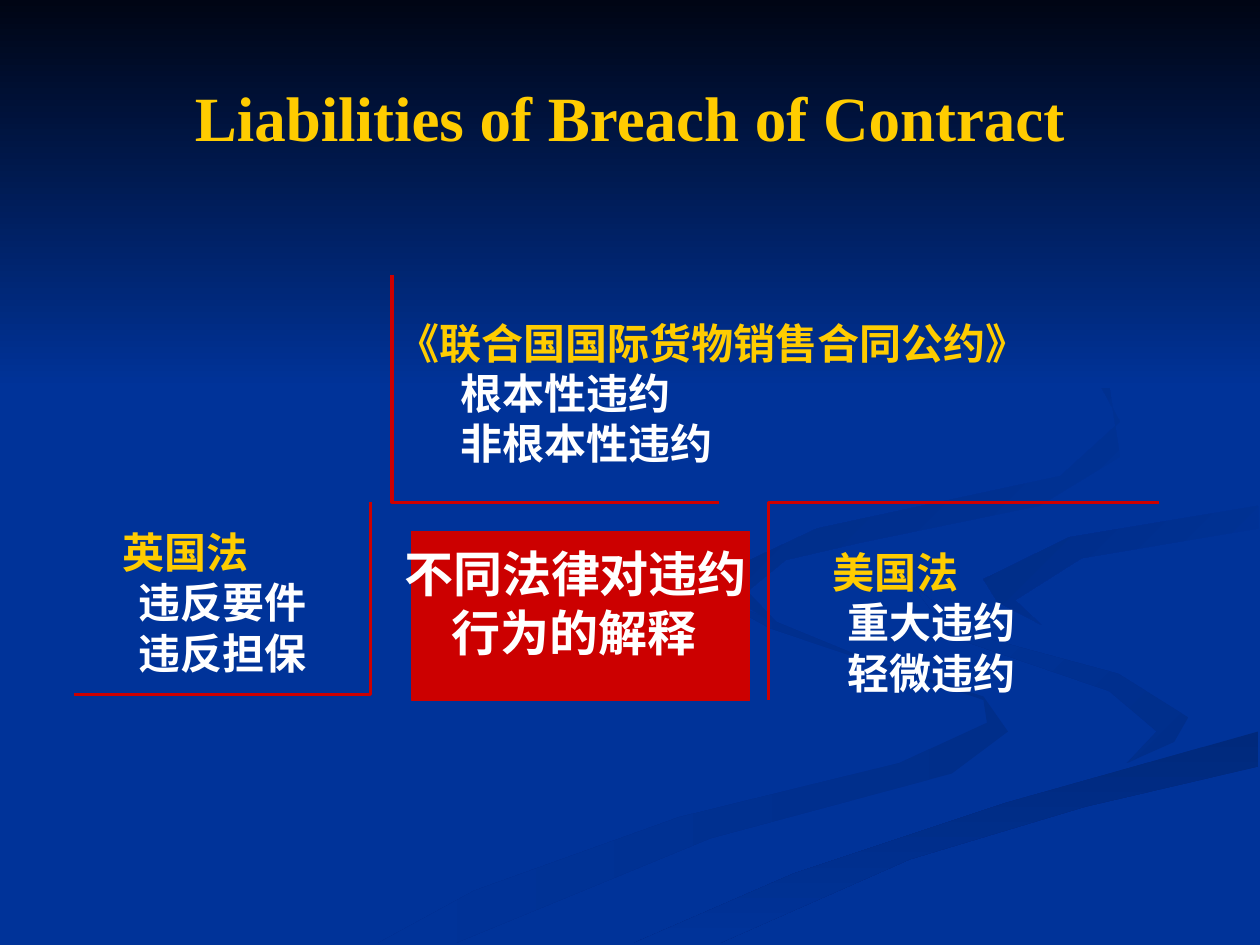
from lxml import etree
from pptx import Presentation
from pptx.dml.color import RGBColor
from pptx.enum.shapes import MSO_SHAPE
from pptx.enum.text import MSO_ANCHOR, PP_ALIGN
from pptx.oxml.ns import qn
from pptx.util import Pt

RECT = MSO_SHAPE.RECTANGLE
TOP, MIDDLE = MSO_ANCHOR.TOP, MSO_ANCHOR.MIDDLE
LEFT, CENTER = PP_ALIGN.LEFT, PP_ALIGN.CENTER

COLORS = {"blue": "003399", "night": "000514", "navy": "002E8A",
          "deep": "00297C", "dusk": "002C85", "dark": "002B81",
          "gold": "FFCC00", "white": "FFFFFF", "red": "CC0000"}
SERIF, SANS, CJK = "Times New Roman", "Arial", "Noto Sans CJK SC"

RIBBONS = [
    ("navy", "blue", 180, [
        (562, 398), (489, 374), (428, 349), (413, 332), (411, 343), (440, 359),
        (562, 400), (564, 413), (514, 436), (388, 467), (271, 509), (216, 539),
        (260, 539), (406, 479), (544, 442), (576, 418)]),
    ("navy", "blue", 225, [
        (679, 410), (639, 385), (557, 363), (521, 334), (544, 364), (634, 395),
        (661, 418), (644, 436), (671, 424)]),
    ("deep", "blue", 90, [
        (362, 539), (411, 539), (520, 491), (620, 461), (719, 438), (719, 418),
        (574, 459), (454, 499)]),
    ("blue", "dusk", 225, [
        (562, 331), (570, 344), (595, 357), (580, 343), (618, 319), (719, 302),
        (719, 289), (611, 307)]),
    ("blue", "dark", 225, [
        (492, 310), (594, 289), (640, 261), (634, 221), (549, 168), (626, 215),
        (640, 241), (606, 272), (467, 302), (418, 325), (418, 341), (448, 360),
        (427, 338), (449, 320)]),
]
SHELF = 287.3
BRACKETS = [
    [(223.9, 157), (223.9, SHELF), (411.1, SHELF)],
    [(439.2, 400.3), (439.2, SHELF), (661.7, SHELF)],
    [(42.5, 396.7), (212.4, 396.7), (212.4, SHELF)],
]
LAWS = [
    ((184.3, 175.2, 414, 137.5), SANS, 36,
     ["《联合国国际货物销售合同公约》", "根本性违约", "非根本性违约"]),
    ((405.4, 306.2, 215.3, 93.6), CJK, 63, ["美国法", "重大违约", "轻微违约"]),
    ((0, 294.7, 198.7, 137.5), CJK, 63, ["英国法", "违反要件", "违反担保"]),
]


def rgb(name):
    return RGBColor.from_string(COLORS[name])


def fill_gradient(s, start, end, angle):
    s.fill.gradient()
    s.fill.gradient_angle = 360 - angle
    for stop, name in zip(s.fill.gradient_stops, (start, end)):
        stop.color.rgb = rgb(name)


def add_path(slide, points, close):
    builder = slide.shapes.build_freeform(*points[0], scale=Pt(1))
    builder.add_line_segments(points[1:], close=close)
    s = builder.convert_to_shape()
    s.shadow.inherit = False
    return s


def add_backdrop(slide, box):
    slide.background.fill.solid()
    slide.background.fill.fore_color.rgb = rgb("blue")
    for start, end, angle, points in RIBBONS:
        s = add_path(slide, points, True)
        s.line.fill.background()
        fill_gradient(s, start, end, angle)
    band = slide.shapes.add_shape(RECT, *map(Pt, box))
    band.shadow.inherit = False
    band.line.fill.background()
    fill_gradient(band, "night", "blue", 90)


def add_bracket(slide, points):
    s = add_path(slide, points, False)
    s.fill.background()
    s.line.color.rgb = rgb("red")
    s.line.width = Pt(1.75)


def add_frame(slide, box, anchor, top=3.6):
    tf = slide.shapes.add_textbox(*map(Pt, box)).text_frame
    tf.word_wrap = True
    tf.vertical_anchor = anchor
    tf.margin_top = Pt(top)
    return tf


def add_text(p, text, size, font, color, align=LEFT, margin=0, indent=0, spacing=None):
    p.alignment = align
    pPr = p._p.get_or_add_pPr()
    pPr.set("marL", str(Pt(margin)))
    pPr.set("indent", str(Pt(indent)))
    if spacing:
        p.line_spacing = Pt(spacing)
    r = p.add_run()
    r.text = text
    r.font.size, r.font.name, r.font.bold = Pt(size), font, True
    r.font.color.rgb = rgb(color)
    ea = etree.SubElement(r._r.get_or_add_rPr(), qn("a:ea"))
    ea.set("typeface", CJK)


def add_title(slide, box):
    tf = add_frame(slide, box, MIDDLE)
    add_text(tf.paragraphs[0], "Liabilities of Breach of Contract", 36, SERIF, "gold", CENTER)


def add_law(slide, box, font, margin, lines):
    tf = add_frame(slide, box, TOP, 6)
    for i, line in enumerate(lines):
        p = tf.add_paragraph() if i else tf.paragraphs[0]
        add_text(p, line, 24, font, "white" if i else "gold",
                 margin=72 if i else margin, spacing=28.8)


def add_topic(slide, box):
    x, y, w, h = box
    s = slide.shapes.add_shape(RECT, *map(Pt, box))
    s.shadow.inherit = False
    s.fill.solid()
    s.fill.fore_color.rgb = rgb("red")
    s.line.color.rgb = rgb("red")
    s.line.width = Pt(0.5)
    tf = add_frame(slide, (x - 11.5, y, w + 33.8, h - 5.8), TOP, 7)
    add_text(tf.paragraphs[0], "不同法律对违约行为的解释", 28, SERIF, "white",
             margin=27, indent=-27, spacing=33.6)


def main():
    prs = Presentation()
    prs.slide_width, prs.slide_height = Pt(720), Pt(540)
    slide = prs.slides.add_slide(prs.slide_layouts[6])
    add_backdrop(slide, (0, 0, 720, 222))
    add_title(slide, (36, 21.6, 648, 90))
    for law in LAWS:
        add_law(slide, *law)
    for points in BRACKETS:
        add_bracket(slide, points)
    add_topic(slide, (235.4, 303.8, 193, 96.5))
    prs.save("out.pptx")


if __name__ == "__main__":
    main()
